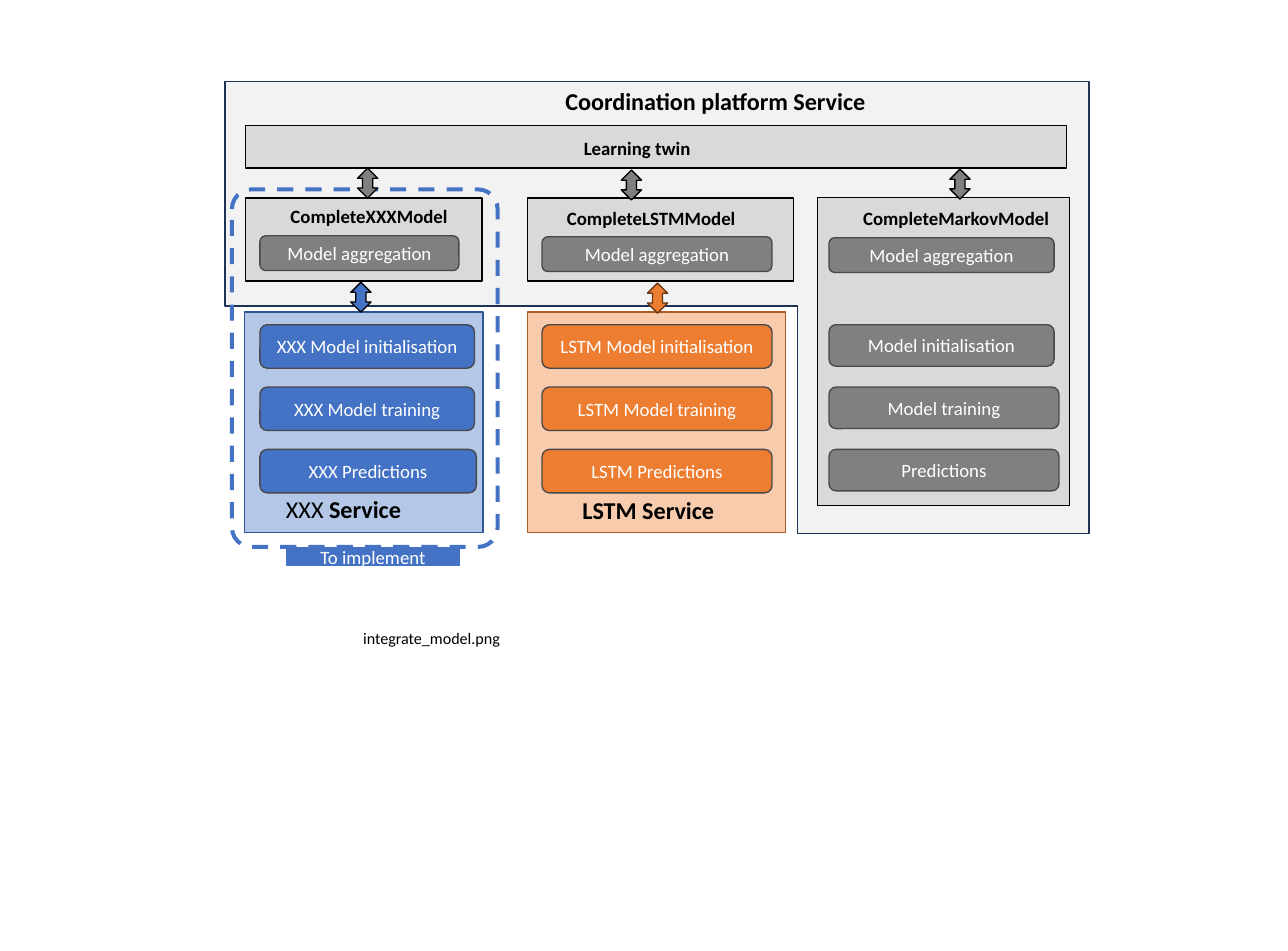
"""Build the slide showing the coordination platform and its model services."""
import pptx
import pptx.util
import pptx.dml.color
import pptx.enum.dml
import pptx.enum.shapes
import pptx.enum.text

Inches, Pt = pptx.util.Inches, pptx.util.Pt
RGB = pptx.dml.color.RGBColor.from_string
MSO = pptx.enum.shapes.MSO_SHAPE
ALIGN = pptx.enum.text.PP_ALIGN

THEME = {
    "font": "Calibri", "heading": 18, "body": 14, "note": 12,
    "black": "000000", "white": "FFFFFF", "frame": "F2F2F2", "navy": "1E3256",
    "panel": "D9D9D9", "gray": "808080", "edge": "484848",
    "blue": "4472C4", "blue_light": "B4C7E7", "blue_dark": "2F5597",
    "orange": "ED7D31", "orange_light": "F8CBAD", "orange_dark": "AF5C24",
    "brown": "683715",
}


def add_text(sp, runs, size, color, align=ALIGN.CENTER):
    tf = sp.text_frame
    tf.word_wrap = True
    p = tf.paragraphs[0]
    p.alignment = align
    for text, bold in runs:
        r = p.add_run()
        r.text = text
        fmt = {"name": THEME["font"], "size": Pt(THEME[size]), "bold": bold}
        for key, value in fmt.items():
            setattr(r.font, key, value)
        r.font.color.rgb = RGB(THEME[color])


def add_box(kind, at, fill, line, text=None):
    sp = s.shapes.add_shape(kind, *map(Inches, at))
    sp.shadow.inherit = False
    if fill:
        sp.fill.solid()
        sp.fill.fore_color.rgb = RGB(THEME[fill])
    else:
        sp.fill.background()
    sp.line.color.rgb = RGB(THEME[line])
    sp.line.width = Pt(1)
    if text:
        add_text(sp, [(text, False)], "body", "white")
        sp.text_frame.vertical_anchor = pptx.enum.text.MSO_ANCHOR.MIDDLE
    return sp


prs = pptx.Presentation()
prs.slide_width, prs.slide_height = Inches(13.33), Inches(9.84)
s = prs.slides.add_slide(prs.slide_layouts[6])

frame = add_box(MSO.CORNER, (2.33, 0.84, 8.94, 4.68), "frame", "navy")
frame.rotation = 180
frame.adjustments[0], frame.adjustments[1] = 0.497, 0.644

panels = [
    ((2.53, 3.23, 2.47, 2.28), "blue_light", "blue_dark"),
    ((5.46, 3.23, 2.67, 2.28), "orange_light", "orange_dark"),
    ((2.54, 1.3, 8.5, 0.44), "panel", "black"),
    ((2.54, 2.05, 2.45, 0.86), "panel", "black"),
    ((5.46, 2.05, 2.75, 0.86), "panel", "black"),
    ((8.46, 2.04, 2.61, 3.19), "panel", "black"),
]
for at, fill, line in panels:
    add_box(MSO.RECTANGLE, at, fill, line)

steps = ["Model initialisation", "Model training", "Predictions"]
columns = [
    ("XXX ", 2.69, (2.22, 2.22, 2.24), 0.45, "blue", 2.44, 2.06),
    ("LSTM ", 5.61, (2.38, 2.38, 2.38), 0.45, "orange", 2.45, 2.38),
    ("", 8.58, (2.33, 2.38, 2.38), 0.43, "gray", 2.46, 2.33),
]
for prefix, x, widths, h, fill, top, top_w in columns:
    add_box(MSO.ROUNDED_RECTANGLE, (x, top, top_w, 0.36), "gray", "edge", "Model aggregation")
    for i, (step, w) in enumerate(zip(steps, widths)):
        add_box(MSO.ROUNDED_RECTANGLE, (x, 3.36 + 0.645 * i, w, h), fill, "edge", prefix + step)

labels = [
    ((5.55, 0.84, 3.71, 0.4), [("Coordination platform Service", True)], "heading", ALIGN.CENTER),
    ((5.51, 1.37, 2.17, 0.34), [("Learning twin", True)], "body", ALIGN.CENTER),
    ((2.73, 2.07, 2.18, 0.34), [("CompleteXXXModel", True)], "body", ALIGN.CENTER),
    ((5.65, 2.09, 2.18, 0.34), [("CompleteLSTMModel", True)], "body", ALIGN.CENTER),
    ((8.35, 2.09, 3.09, 0.34), [("CompleteMarkovModel", True)], "body", ALIGN.CENTER),
    ((2.53, 5.07, 2.05, 0.4), [("XXX", False), (" Service", True)], "heading", ALIGN.CENTER),
    ((5.66, 5.08, 2.1, 0.4), [("LSTM Service", True)], "heading", ALIGN.CENTER),
    ((3.66, 6.45, 1.82, 0.3), [("integrate_model.png", False)], "note", ALIGN.LEFT),
]
for at, runs, size, align in labels:
    add_text(s.shapes.add_textbox(*map(Inches, at)), runs, size, "black", align)

scope = add_box(MSO.ROUNDED_RECTANGLE, (2.4, 1.96, 2.75, 3.7), None, "blue")
scope.adjustments[0] = 0.074
scope.line.width = Pt(3)
scope.line.dash_style = pptx.enum.dml.MSO_LINE.DASH
add_box(MSO.RECTANGLE, (2.97, 5.67, 1.78, 0.18), "blue", "blue", "To implement")

arrows = [
    (3.7, 1.74, "gray", "black"),
    (6.43, 1.76, "gray", "black"),
    (9.83, 1.75, "gray", "black"),
    (3.63, 2.92, "blue", "black"),
    (6.7, 2.93, "orange", "brown"),
]
for x, y, fill, line in arrows:
    add_box(MSO.UP_DOWN_ARROW, (x, y, 0.21, 0.31), fill, line)

prs.save("out.pptx")
